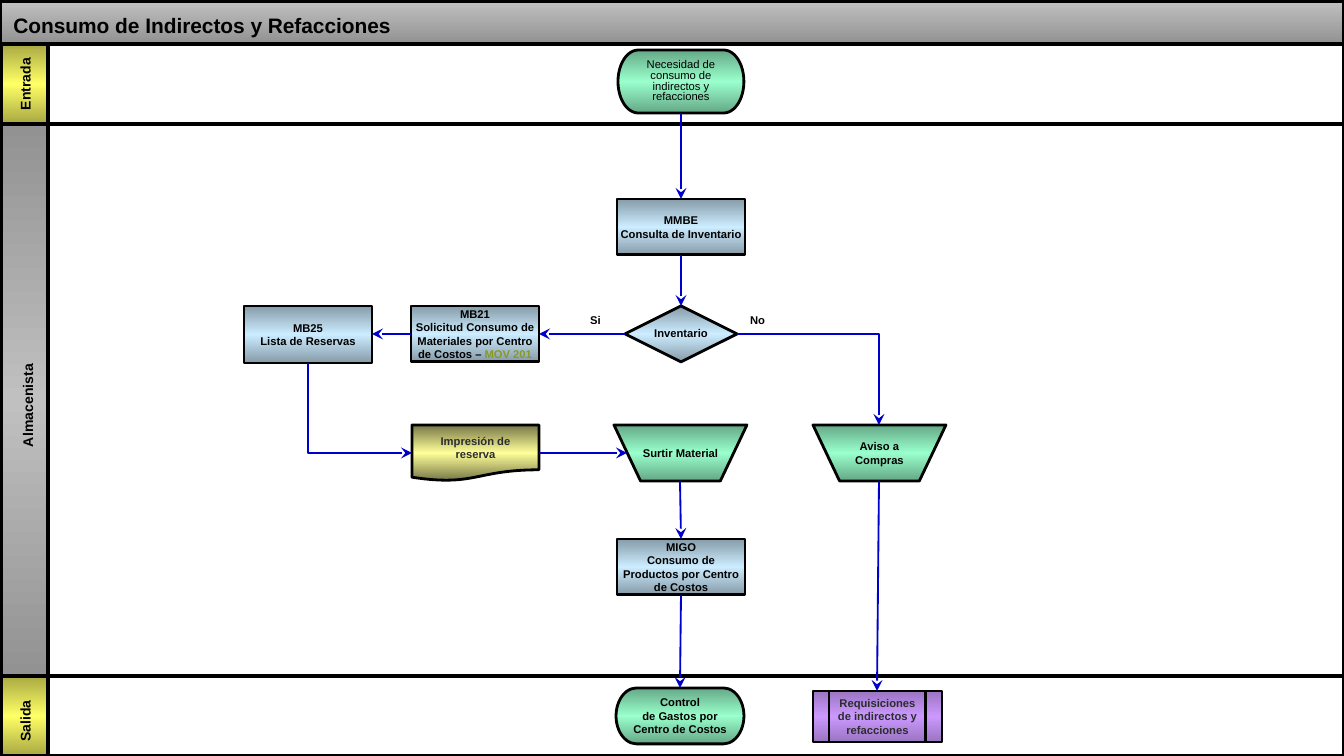
from dataclasses import dataclass

import pptx
import pptx.dml.color
import pptx.enum.dml
import pptx.enum.shapes
import pptx.enum.text
import pptx.oxml
import pptx.oxml.ns
import pptx.util
from lxml import etree

SHAPE = pptx.enum.shapes.MSO_SHAPE
ANCHOR = pptx.enum.text.MSO_ANCHOR
ALIGN = pptx.enum.text.PP_ALIGN
qn = pptx.oxml.ns.qn

W, H = 1344, 756
SCALE = 9144000 / W
FONT = "Arial"
COLORS = {"black": "000000", "white": "FFFFFF", "back": "F2F2F2",
          "arrow": "0000CC", "dark": "2B2D2E", "olive": "879A21"}
GRADIENTS = {
    "bar": ("C0C0C0", "929292"),
    "gray": ("929292", "C0C0C0", "929292"),
    "yellow": ("A8A843", "FFFF66", "A8A843"),
    "blue": ("869BA8", "CCECFF", "869BA8"),
    "green": ("65A886", "99FFCC", "65A886"),
    "paper": ("767647", "FFFF99", "767647"),
    "purple": ("9A74C1", "CC99FF", "9A74C1"),
}


@dataclass
class Lane:
    name: str
    top: int
    height: int
    fill: str
    label: tuple[int, int, int, int]


@dataclass
class Node:
    x: int
    y: int
    w: int
    h: int
    kind: SHAPE
    fill: str
    lines: tuple[str, ...]
    accent: str = ""
    color: str = "black"
    bold: bool = True
    spacing: float = 1.0
    inset: int = 1

    def side(self, name: str) -> tuple[int, int]:
        """Point where an arrow meets the given side."""
        slant = self.w // 10 if self.kind == SHAPE.FLOWCHART_MANUAL_OPERATION else 0
        mid_x, mid_y = self.x + self.w // 2, self.y + self.h // 2
        return {"top": (mid_x, self.y), "bottom": (mid_x, self.y + self.h),
                "left": (self.x + slant, mid_y),
                "right": (self.x + self.w - slant, mid_y)}[name]


@dataclass
class Arrow:
    start: str
    start_side: str
    end: str
    end_side: str


LANES = [
    Lane("Almacenista", 124, 552, "gray", (12, 132, 31, 547)),
    Lane("Salida", 676, 80, "yellow", (1, 681, 48, 80)),
    Lane("Entrada", 44, 80, "yellow", (1, 44, 48, 80)),
]
NODES = {
    "need": Node(618, 50, 126, 63, SHAPE.FLOWCHART_TERMINATOR, "green",
                 ("Necesidad de consumo de indirectos y refacciones",),
                 bold=False, spacing=0.8, inset=3),
    "query": Node(617, 199, 128, 56, SHAPE.RECTANGLE, "blue",
                  ("MMBE", "Consulta de Inventario")),
    "stock": Node(625, 306, 112, 56, SHAPE.DIAMOND, "blue", ("Inventario",),
                  spacing=0.8, inset=0),
    "request": Node(411, 306, 128, 56, SHAPE.RECTANGLE, "blue",
                    ("MB21", "Solicitud Consumo de Materiales por Centro de Costos – "),
                    accent="MOV 201"),
    "list": Node(244, 306, 128, 57, SHAPE.RECTANGLE, "blue",
                 ("MB25", "Lista de Reservas")),
    "print": Node(412, 425, 127, 56, SHAPE.FLOWCHART_DOCUMENT, "paper",
                  ("Impresión de", "reserva"), color="dark", inset=3),
    "supply": Node(614, 425, 133, 56, SHAPE.FLOWCHART_MANUAL_OPERATION, "green",
                   ("Surtir Material",)),
    "notice": Node(813, 425, 133, 56, SHAPE.FLOWCHART_MANUAL_OPERATION, "green",
                   ("Aviso a Compras",)),
    "issue": Node(617, 539, 128, 56, SHAPE.RECTANGLE, "blue",
                  ("MIGO", "Consumo de Productos por Centro de Costos")),
    "control": Node(616, 688, 128, 56, SHAPE.FLOWCHART_TERMINATOR, "green",
                    ("Control", "de Gastos por Centro de Costos")),
    "orders": Node(813, 691, 129, 51, SHAPE.FLOWCHART_PREDEFINED_PROCESS, "purple",
                   ("Requisiciones de indirectos y refacciones",),
                   color="dark", inset=3),
}
ARROWS = [
    Arrow("need", "bottom", "query", "top"),
    Arrow("query", "bottom", "stock", "top"),
    Arrow("stock", "right", "notice", "top"),
    Arrow("stock", "left", "request", "right"),
    Arrow("request", "left", "list", "right"),
    Arrow("list", "bottom", "print", "left"),
    Arrow("print", "right", "supply", "left"),
    Arrow("supply", "bottom", "issue", "top"),
    Arrow("issue", "bottom", "control", "top"),
    Arrow("notice", "bottom", "orders", "top"),
]
BRANCHES = [("Si", 590, 11), ("No", 750, 15)]


def px(n: float) -> int:
    return round(n * SCALE)


def rgb(name: str) -> pptx.dml.color.RGBColor:
    return pptx.dml.color.RGBColor.from_string(COLORS[name])


def add_run(p, text: str, size: float, color: str = "black", bold: bool = True) -> None:
    r = p.add_run()
    r.text = text
    r.font.name, r.font.size, r.font.bold = FONT, pptx.util.Pt(size), bold
    r.font.color.rgb = rgb(color)


def set_gradient(sp, name: str) -> None:
    """Fill from top to bottom with evenly spaced stops."""
    sp.fill.gradient()
    grad = sp._element.spPr.find(qn("a:gradFill"))
    for child in list(grad):
        grad.remove(child)
    stops = etree.SubElement(grad, qn("a:gsLst"))
    colors = GRADIENTS[name]
    for i, color in enumerate(colors):
        gs = etree.SubElement(stops, qn("a:gs"), pos=str(100000 * i // (len(colors) - 1)))
        etree.SubElement(gs, qn("a:srgbClr"), val=color)
    etree.SubElement(grad, qn("a:lin"), ang="5400000", scaled="0")


def add_box(slide, kind: SHAPE, box: tuple[int, int, int, int], fill: str, line: float):
    sp = slide.shapes.add_shape(kind, *map(px, box))
    sp.shadow.inherit = False
    if fill in GRADIENTS:
        set_gradient(sp, fill)
    else:
        sp.fill.solid()
        sp.fill.fore_color.rgb = rgb(fill)
    sp.line.color.rgb = rgb("black")
    sp.line.width = pptx.util.Pt(line)
    return sp


def set_insets(tf, inset: int) -> None:
    tf.margin_left = tf.margin_right = tf.margin_top = tf.margin_bottom = px(inset)


def add_label(slide, text: str, box: tuple[int, int, int, int], size: float,
              vertical: bool = False) -> None:
    tf = slide.shapes.add_textbox(*map(px, box)).text_frame
    set_insets(tf, 0)
    tf.word_wrap = False
    tf.vertical_anchor = ANCHOR.MIDDLE
    if vertical:
        tf._txBody.bodyPr.set("vert", "vert270")
    p = tf.paragraphs[0]
    p.alignment = ALIGN.CENTER
    add_run(p, text, size)


def add_lane(slide, lane: Lane) -> None:
    add_box(slide, SHAPE.RECTANGLE, (0, lane.top, W, lane.height), "white", 2)
    add_box(slide, SHAPE.RECTANGLE, (1, lane.top, 47, lane.height), lane.fill, 2)
    add_label(slide, lane.name, lane.label, 7.5, vertical=True)


def add_node(slide, node: Node) -> None:
    sp = add_box(slide, node.kind, (node.x, node.y, node.w, node.h), node.fill, 1.5)
    tf = sp.text_frame
    set_insets(tf, node.inset)
    tf.word_wrap = True
    tf.vertical_anchor = ANCHOR.MIDDLE
    for i, line in enumerate(node.lines):
        p = tf.add_paragraph() if i else tf.paragraphs[0]
        p.alignment, p.line_spacing = ALIGN.CENTER, node.spacing
        add_run(p, line, 6, node.color, node.bold)
    if node.accent:
        add_run(p, node.accent, 6, "olive")


def add_arrow(slide, arrow: Arrow) -> None:
    """Straight between facing sides; otherwise one right-angle bend."""
    x1, y1 = NODES[arrow.start].side(arrow.start_side)
    x2, y2 = NODES[arrow.end].side(arrow.end_side)
    upright = ("top", "bottom")
    bent = (arrow.start_side in upright) != (arrow.end_side in upright)
    kinds = pptx.enum.shapes.MSO_CONNECTOR
    cn = slide.shapes.add_connector(kinds.ELBOW if bent else kinds.STRAIGHT,
                                    *map(px, (x1, y1, x2, y2)))
    cn.line.color.rgb = rgb("arrow")
    cn.line.width = pptx.util.Pt(1)
    spPr = cn._element.spPr
    etree.SubElement(cn.line._get_or_add_ln(), qn("a:tailEnd"), type="stealth")
    etree.SubElement(spPr, qn("a:effectLst"))
    if bent:
        spPr.find(qn("a:prstGeom")).set("prst", "bentConnector2")
    if bent and arrow.start_side == "bottom":
        w, h = x2 - x1, y2 - y1
        cn.left, cn.top = px(x1 + (w - h) / 2), px(y1 + (h - w) / 2)
        cn.width, cn.height = px(h), px(w)
        xfrm = spPr.find(qn("a:xfrm"))
        xfrm.set("rot", "16200000")
        xfrm.set("flipH", "1")


def add_title(slide, text: str) -> None:
    add_box(slide, SHAPE.RECTANGLE, (0, 1, W, 43), "bar", 2)
    sp = slide.shapes.title
    slide.shapes._spTree.append(sp._element)
    sp.left, sp.top, sp.width, sp.height = map(px, (0, 0, W, 44))
    tf = sp.text_frame
    tf.auto_size = pptx.enum.text.MSO_AUTO_SIZE.NONE
    tf.vertical_anchor = ANCHOR.BOTTOM
    p = tf.paragraphs[0]
    p.alignment = ALIGN.LEFT
    add_run(p, text, 11.2)


def main() -> None:
    prs = pptx.Presentation()
    prs.slide_width, prs.slide_height = px(W), px(H)
    slide = prs.slides.add_slide(prs.slide_layouts[5])
    slide.background.fill.solid()
    slide.background.fill.fore_color.rgb = rgb("back")
    for lane in LANES:
        add_lane(slide, lane)
    add_title(slide, "Consumo de Indirectos y Refacciones")
    for node in NODES.values():
        add_node(slide, node)
    for arrow in ARROWS:
        add_arrow(slide, arrow)
    for text, x, w in BRANCHES:
        add_label(slide, text, (x, 314, w, 13), 6)
    prs.save("out.pptx")


if __name__ == "__main__":
    main()
